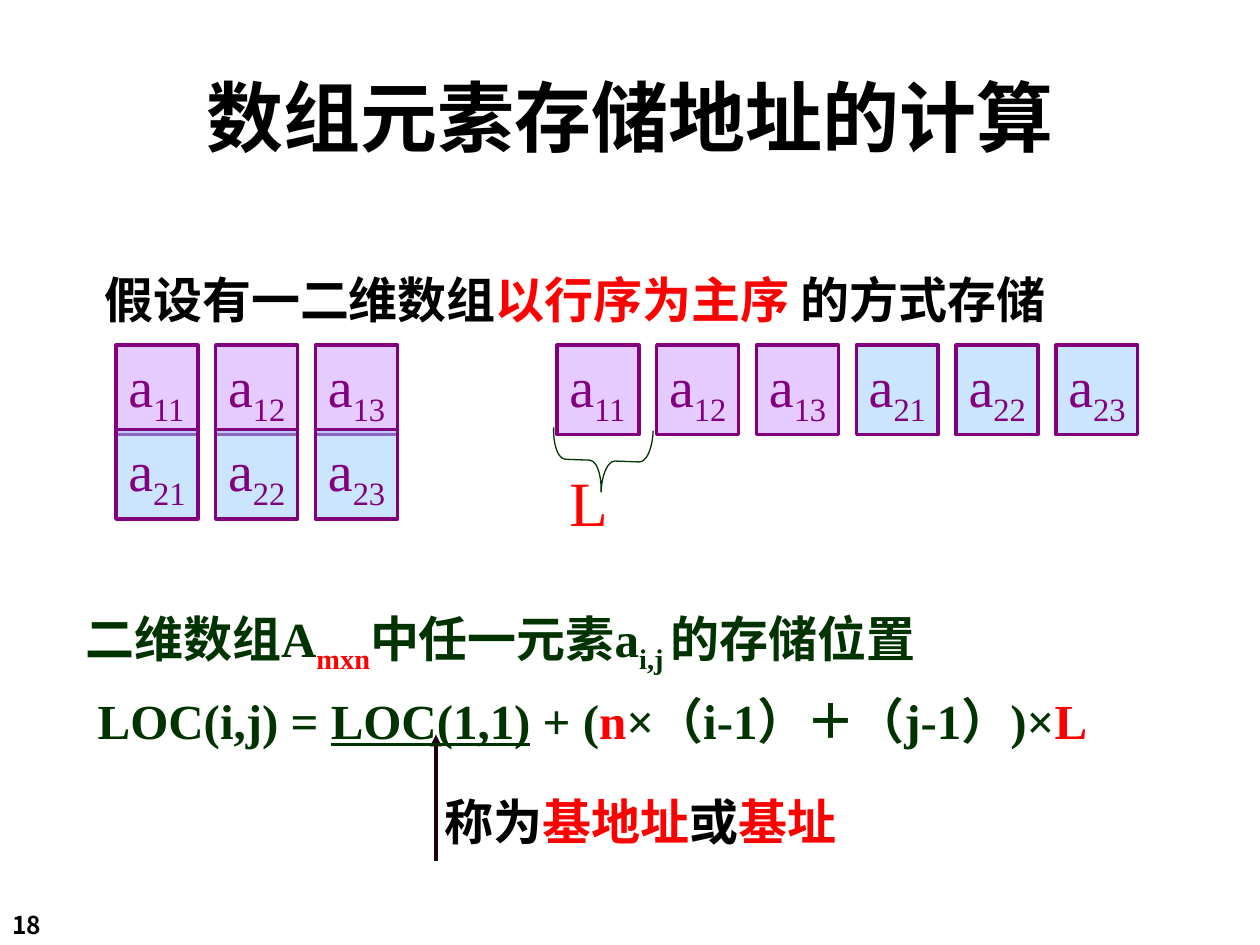
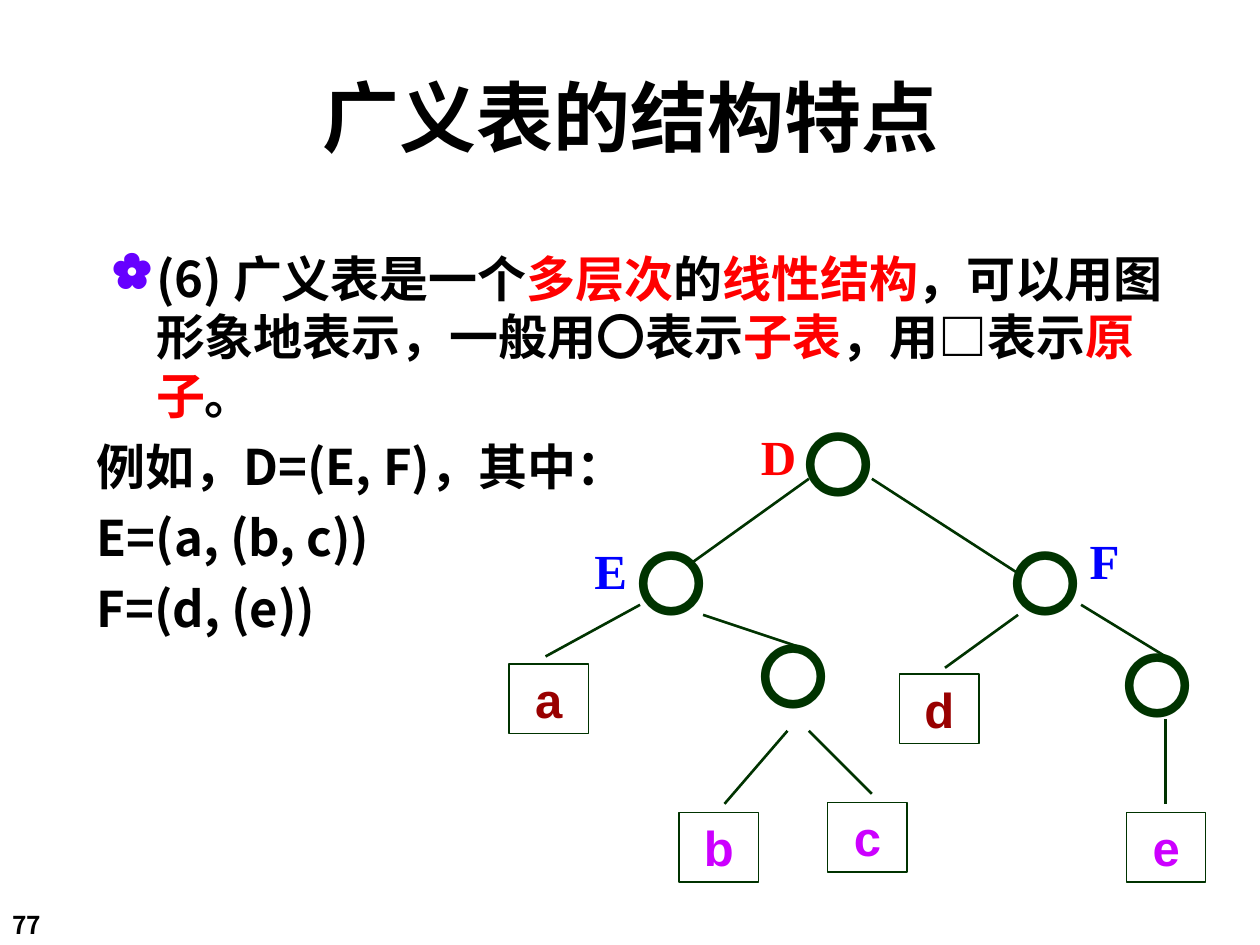
from lxml import etree
from pptx import Presentation
from pptx.dml.color import RGBColor
from pptx.enum.shapes import MSO_CONNECTOR, MSO_SHAPE
from pptx.enum.text import MSO_ANCHOR, MSO_AUTO_SIZE, PP_ALIGN
from pptx.oxml.ns import qn
from pptx.util import Inches, Pt

STRAIGHT = MSO_CONNECTOR.STRAIGHT
RECTANGLE, LEFT_BRACE = MSO_SHAPE.RECTANGLE, MSO_SHAPE.LEFT_BRACE
TOP, MIDDLE = MSO_ANCHOR.TOP, MSO_ANCHOR.MIDDLE
LEFT, CENTER = PP_ALIGN.LEFT, PP_ALIGN.CENTER
FIXED_SIZE, GROW = MSO_AUTO_SIZE.NONE, MSO_AUTO_SIZE.SHAPE_TO_FIT_TEXT


class Theme:
    BLACK, RED, BLUE = "000000", "FF0000", "0000FF"
    GREEN, PURPLE, ARROW = "003300", "800080", "220011"
    ROW_ONE, ROW_TWO = "CC99FF", "99CCFF"
    DARK_RED, MAGENTA, BULLET = "990000", "CC00FF", "6600FF"
    SANS, SERIF, LETTER = "Noto Sans CJK SC", "Times New Roman", "Arial"
    TITLE, CIRCLE, LENGTH, CELL, BODY, NUMBER = 44, 40, 36, 32, 28, 14


RED = {"color": Theme.RED}
SUBSCRIPT = {"subscript": True}


def rgb(color):
    return RGBColor.from_string(color)


def write_run(paragraph, text, size, font, color, bold,
              subscript=False, underline=False):
    run = paragraph.add_run()
    run.text = text
    run.font.size = Pt(size)
    run.font.bold = bold
    run.font.color.rgb = rgb(color)
    run.font.name = font
    if underline:
        run.font.underline = True
    properties = run.font._element
    if subscript:
        properties.set("baseline", "-25000")
    etree.SubElement(properties, qn("a:ea")).set("typeface", Theme.SANS)


def write_text(shape, paragraphs, size=Theme.BODY, font=Theme.SERIF,
               color=Theme.BLACK, bold=True, align=LEFT, anchor=TOP,
               wrap=False, auto_size=GROW, line=1.2, space_before=0,
               margin_top=0.05, margin_right=0.1):
    """Fill a shape with paragraphs, each a list of (text, format changes).

    line is the line height as a multiple of the type size.
    """
    frame = shape.text_frame
    frame.word_wrap = wrap
    frame.auto_size = auto_size
    frame.vertical_anchor = anchor
    frame.margin_top = Inches(margin_top)
    frame.margin_right = Inches(margin_right)
    for index, runs in enumerate(paragraphs):
        paragraph = frame.add_paragraph() if index else frame.paragraphs[0]
        paragraph.alignment = align
        paragraph.line_spacing = Pt(round(line * size, 1))
        if index:
            paragraph.space_before = Pt(space_before)
        for text, changes in runs:
            style = dict(size=size, font=font, color=color, bold=bold)
            write_run(paragraph, text, **{**style, **changes})


def add_text(slide, left, top, width, height, paragraphs, **text_format):
    box = slide.shapes.add_textbox(
        Inches(left), Inches(top), Inches(width), Inches(height))
    if isinstance(paragraphs, str):
        paragraphs = [[(paragraphs, {})]]
    write_text(box, paragraphs, **text_format)
    return box


def add_outline(slide, preset, left, top, width, height, color, weight):
    shape = slide.shapes.add_shape(
        preset, Inches(left), Inches(top), Inches(width), Inches(height))
    shape.shadow.inherit = False
    shape.fill.background()
    shape.line.color.rgb = rgb(color)
    shape.line.width = Pt(weight)
    return shape


def add_line(slide, start, end, color=Theme.GREEN, weight=1.5, arrow=False):
    connector = slide.shapes.add_connector(
        STRAIGHT, *(Inches(value) for value in (*start, *end)))
    connector.line.color.rgb = rgb(color)
    connector.line.width = Pt(weight)
    if arrow:
        line = connector.line._get_or_add_ln()
        etree.SubElement(line, qn("a:tailEnd")).set("type", "triangle")
    etree.SubElement(connector._element.spPr, qn("a:effectLst"))


def add_array_cell(slide, left, top, row, column):
    cell = add_outline(slide, RECTANGLE, left, top, 0.65, 0.71,
                       Theme.PURPLE, 2)
    cell.fill.solid()
    cell.fill.fore_color.rgb = rgb(Theme.ROW_ONE if row == 1
                                   else Theme.ROW_TWO)
    fill_color = cell._element.spPr.find(qn("a:solidFill"))[0]
    etree.SubElement(fill_color, qn("a:alpha")).set("val", "50000")
    write_text(cell, [[("a", {}), (f"{row}{column}", SUBSCRIPT)]],
               size=Theme.CELL, color=Theme.PURPLE, bold=False, line=1.37,
               wrap=True, auto_size=FIXED_SIZE, margin_right=0)


def add_atom(slide, letter, left, top, color):
    box = add_outline(slide, RECTANGLE, left, top, 0.63, 0.55,
                      Theme.GREEN, 0.75)
    write_text(box, [[(letter, {})]], font=Theme.LETTER, color=color,
               align=CENTER, anchor=MIDDLE, auto_size=FIXED_SIZE)


def add_bullet(paragraph, symbol, color, margin, indent):
    properties = paragraph._p.get_or_add_pPr()
    properties.set("marL", str(Inches(margin)))
    properties.set("indent", str(Inches(indent)))
    bullet_color = etree.SubElement(properties, qn("a:buClr"))
    etree.SubElement(bullet_color, qn("a:srgbClr")).set("val", color)
    etree.SubElement(properties, qn("a:buChar")).set("char", symbol)


def add_base_slide(presentation, title, number):
    """Add a blank slide with the shared title and page number."""
    slide = presentation.slides.add_slide(presentation.slide_layouts[6])
    slide.background.fill.solid()
    slide.background.fill.fore_color.rgb = rgb("FFFFFF")
    add_text(slide, 0, 7.17, 0.83, 0.34, number, size=Theme.NUMBER,
             font=Theme.SANS, wrap=True)
    add_text(slide, 0.42, 0.42, 9.17, 1, title, size=Theme.TITLE,
             font=Theme.SANS, align=CENTER, anchor=MIDDLE, wrap=True,
             auto_size=FIXED_SIZE)
    return slide


def build_address_slide(presentation):
    slide = add_base_slide(presentation, "数组元素存储地址的计算", "18")
    add_text(slide, 0.73, 2.09, 8.16, 0.57, [[
        ("假设有一二维数组", {}), ("以行序为主序", RED), (" 的方式存储", {})]])
    add_text(slide, 3.43, 6.23, 4.83, 0.57, [[
        ("称为", {}), ("基地址", RED), ("或", {}), ("基址", RED)]], wrap=True)
    add_line(slide, (3.46, 6.83), (3.46, 5.83), Theme.ARROW, 2.25, arrow=True)
    add_text(slide, 0.58, 4.64, 8.71, 1.35, [
        [("二维数组A", {}), ("mxn", {**RED, **SUBSCRIPT}),
         ("中任一元素a", {}), ("i,j ", SUBSCRIPT), ("的存储位置", {})],
        [(" LOC(i,j) = ", {}), ("LOC(1,1)", {"underline": True}),
         (" + (", {}), ("n", RED), ("×（i-1）＋（j-1）)×", {}), ("L", RED)],
    ], color=Theme.GREEN, line=1.51, margin_top=0.13)

    matrix_left, memory_left, cells_top = 0.92, 4.42, 2.74
    column_step, row_step, columns = 0.792, 0.67, 3
    for row in (1, 2):
        for column in range(1, columns + 1):
            add_array_cell(slide, matrix_left + (column - 1) * column_step,
                           cells_top + (row - 1) * row_step, row, column)
            position = (row - 1) * columns + column - 1
            add_array_cell(slide, memory_left + position * column_step,
                           cells_top, row, column)

    brace = add_outline(slide, LEFT_BRACE, 4.53, 3.26, 0.5, 0.79,
                        Theme.GREEN, 0.75)
    brace.adjustments[0] = 0.2
    brace.rotation = 272.1
    add_text(slide, 4.42, 3.63, 0.64, 0.7, "L", size=Theme.LENGTH,
             color=Theme.RED, bold=False, wrap=True)


def build_tree_slide(presentation):
    slide = add_base_slide(presentation, "广义表的结构特点", "77")
    body = add_text(slide, 0.67, 1.92, 8.9, 3.33, [
        [("(6) 广义表是一个", {}), ("多层次", RED), ("的", {}),
         ("线性结构", RED), ("，可以用图形象地表示，一般用〇表示", {}),
         ("子表", RED), ("，用□表示", {}), ("原子", RED), ("。", {})],
        [("例如，D=(E, F)，其中：", {})],
        [("E=(a, (b, c))", {})],
        [("F=(d, (e))", {})],
    ], font=Theme.SANS, wrap=True, auto_size=FIXED_SIZE, space_before=7,
        margin_right=0.22)
    add_bullet(body.text_frame.paragraphs[0], "✿", Theme.BULLET, 0.47, -0.35)

    for name, left, top, width, color in (
            ("D", 5.94, 3.34, 0.48, Theme.RED),
            ("E", 4.62, 4.24, 0.46, Theme.BLUE),
            ("F", 8.55, 4.16, 0.44, Theme.BLUE)):
        add_text(slide, left, top, width, 0.57, name, color=color)

    for start, end in (
            ((6.42, 3.8), (5.5, 4.46)), ((6.92, 3.8), (8.08, 4.55)),
            ((5.08, 4.8), (4.33, 5.21)), ((5.58, 4.88), (6.33, 5.13)),
            ((6.25, 5.8), (5.75, 6.38)), ((6.42, 5.8), (6.92, 6.3)),
            ((8.08, 4.88), (7.5, 5.3)), ((8.58, 4.8), (9.25, 5.21)),
            ((9.25, 5.71), (9.25, 6.38))):
        add_line(slide, start, end)

    for left, top in ((6.28, 3.3), (4.95, 4.24), (7.92, 4.24),
                      (5.92, 4.98), (8.81, 5.05)):
        add_text(slide, left, top, 0.75, 0.77, "〇", size=Theme.CIRCLE,
                 font=Theme.LETTER, color=Theme.GREEN)

    for letter, left, top, color in (
            ("a", 4.04, 5.27, Theme.DARK_RED),
            ("b", 5.39, 6.45, Theme.MAGENTA),
            ("c", 6.57, 6.37, Theme.MAGENTA),
            ("d", 7.14, 5.35, Theme.DARK_RED),
            ("e", 8.94, 6.45, Theme.MAGENTA)):
        add_atom(slide, letter, left, top, color)


def main():
    presentation = Presentation()
    presentation.slide_width = Inches(10)
    presentation.slide_height = Inches(7.5)
    build_address_slide(presentation)
    build_tree_slide(presentation)
    presentation.save("out.pptx")


if __name__ == "__main__":
    main()
